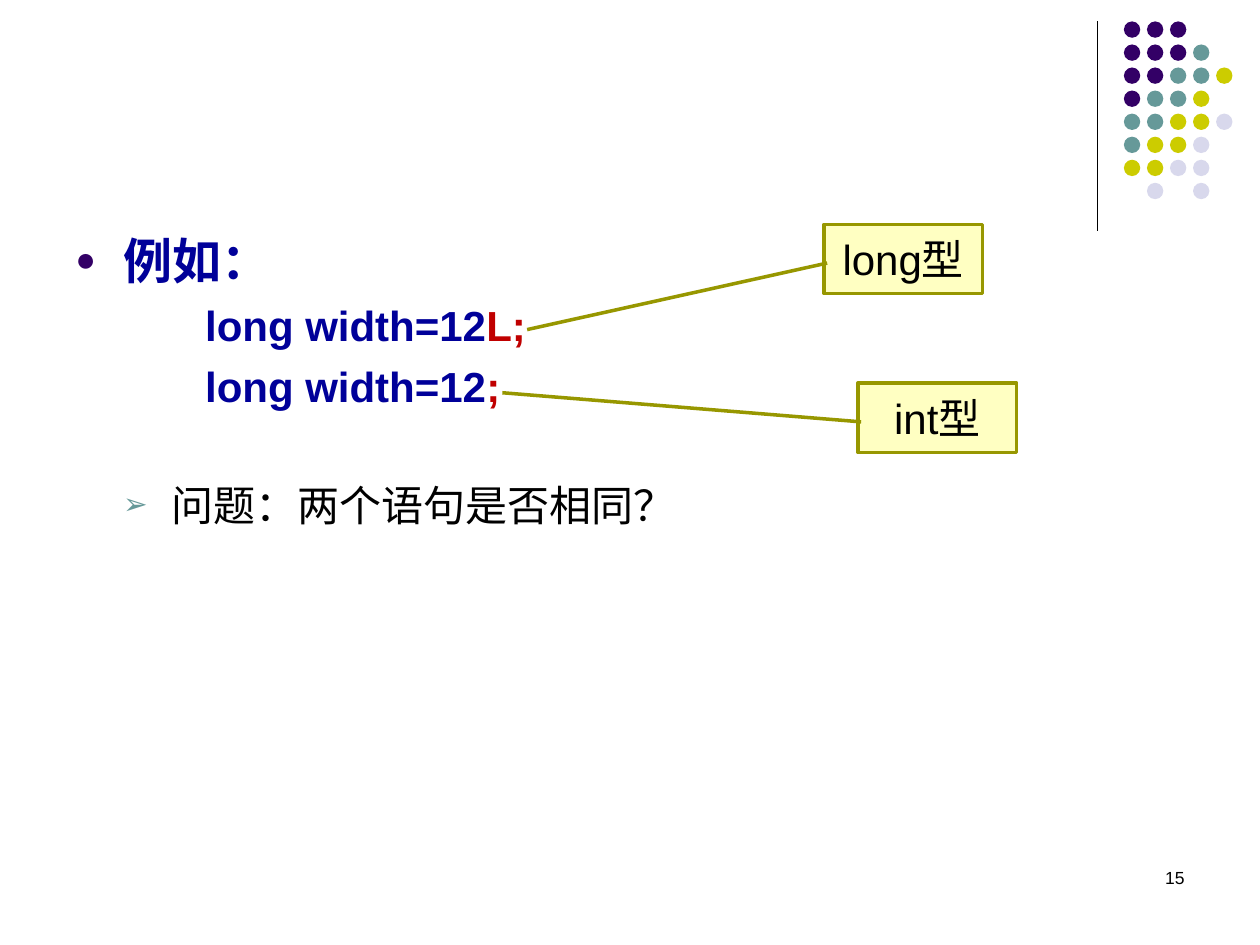
from lxml import etree
from pptx import Presentation, util as u
from pptx.dml.color import RGBColor
from pptx.enum import shapes, text
from pptx.oxml.ns import qn

BLACK = RGBColor(0x00, 0x00, 0x00)
PURPLE = RGBColor(0x33, 0x00, 0x66)
TEAL = RGBColor(0x66, 0x99, 0x99)
LIME = RGBColor(0xCC, 0xCC, 0x00)
LAVENDER = RGBColor(0xD8, 0xD8, 0xEC)
NAVY = RGBColor(0x00, 0x00, 0x99)
RED = RGBColor(0xC0, 0x00, 0x00)
CREAM = RGBColor(0xFF, 0xFF, 0xC2)
OLIVE = RGBColor(0x97, 0x97, 0x00)

DOT_COLORS = {"P": PURPLE, "T": TEAL, "Y": LIME, "L": LAVENDER}
DOT_ROWS = ["PPP", "PPPT", "PPTTY", "PTTY", "TTYYL", "TYYL", "YYLL", " L L"]
DOT_PITCH = 0.183


class SlideBuilder:
    font = "Arial"

    def __init__(self, slide):
        self.slide = slide

    def line(self, x1, y1, x2, y2, color, width):
        connector = self.slide.shapes.add_connector(
            shapes.MSO_CONNECTOR.STRAIGHT,
            u.Inches(x1), u.Inches(y1), u.Inches(x2), u.Inches(y2))
        connector.line.color.rgb = color
        connector.line.width = u.Pt(width)
        etree.SubElement(connector._element.spPr, qn("a:effectLst"))

    def shape(self, kind, left, top, width, height, fill):
        shape = self.slide.shapes.add_shape(
            kind, u.Inches(left), u.Inches(top), u.Inches(width), u.Inches(height))
        shape.shadow.inherit = False
        shape.fill.solid()
        shape.fill.fore_color.rgb = fill
        shape.line.fill.background()
        return shape

    def dot(self, left, top, color):
        self.shape(shapes.MSO_SHAPE.OVAL, left, top, 0.13, 0.13, color)

    def callout(self, left, top, label, adjustments):
        """Add a labelled box whose leader line points to the left."""
        shape = self.shape(shapes.MSO_SHAPE.LINE_CALLOUT_1, left, top, 1.26, 0.55, CREAM)
        shape.line.color.rgb = OLIVE
        shape.line.width = u.Pt(2)
        shape._element.spPr.xfrm.set("flipH", "1")
        for index, value in enumerate(adjustments):
            shape.adjustments[index] = value
        frame = shape.text_frame
        frame.word_wrap = False
        frame.vertical_anchor = text.MSO_ANCHOR.MIDDLE
        frame.text = label
        frame.paragraphs[0].alignment = text.PP_ALIGN.CENTER
        self.style(frame.paragraphs[0].runs[0], 24, BLACK)

    def text_box(self, left, top, width, height):
        frame = self.slide.shapes.add_textbox(
            u.Inches(left), u.Inches(top), u.Inches(width), u.Inches(height)).text_frame
        frame.word_wrap = True
        return frame

    def style(self, run, size, color, bold=False):
        run.font.name = self.font
        run.font.size = u.Pt(size)
        run.font.color.rgb = color
        run.font.bold = bold

    def paragraph(self, paragraph, runs, size, level=0, margin=0, hanging=0,
                  before=6, bold=False, bullet=None):
        """Fill a paragraph with (text, color) runs; bullet is (character, color)."""
        paragraph.level = level
        paragraph.space_before = u.Pt(before)
        for content, color in runs:
            run = paragraph.add_run()
            run.text = content
            self.style(run, size, color, bold)
        properties = paragraph._p.get_or_add_pPr()
        properties.set("marL", str(u.Inches(margin)))
        properties.set("indent", str(u.Inches(-hanging)))
        if bullet:
            character, color = bullet
            bullet_color = etree.SubElement(properties, qn("a:buClr"))
            etree.SubElement(bullet_color, qn("a:srgbClr"), val=str(color))
            etree.SubElement(properties, qn("a:buSzPct"), val="70000")
            etree.SubElement(properties, qn("a:buFont"), typeface=self.font)
            etree.SubElement(properties, qn("a:buChar"), char=character)


def main():
    presentation = Presentation()
    presentation.slide_width = u.Inches(10)
    presentation.slide_height = u.Inches(7.5)
    builder = SlideBuilder(presentation.slides.add_slide(presentation.slide_layouts[6]))

    builder.line(8.71, 0.17, 8.71, 1.83, BLACK, 0.75)
    for row, codes in enumerate(DOT_ROWS):
        for column, code in enumerate(codes):
            if code in DOT_COLORS:
                builder.dot(8.92 + column * DOT_PITCH, 0.17 + row * DOT_PITCH,
                            DOT_COLORS[code])

    body = builder.text_box(0.5, 1.78, 9, 4.92)
    builder.paragraph(body.paragraphs[0], [("例如：", NAVY)], 28, margin=0.38,
                      hanging=0.38, bold=True, bullet=("●", PURPLE))
    for ending in ("L;", ";"):
        builder.paragraph(body.add_paragraph(), [("long width=12", NAVY), (ending, RED)],
                          24, level=3, margin=1.03, bold=True)
    builder.paragraph(body.add_paragraph(), [("问题：两个语句是否相同？", BLACK)], 24,
                      level=1, margin=0.76, hanging=0.38, before=39,
                      bullet=("➢", TEAL))

    number = builder.text_box(7.17, 6.83, 2.33, 0.5)
    number.text = "15"
    number.paragraphs[0].alignment = text.PP_ALIGN.RIGHT
    builder.style(number.paragraphs[0].runs[0], 10, BLACK)

    builder.callout(6.81, 3.04, "int型", (0.56, 0.98, 0.14, 3.24))
    builder.callout(6.54, 1.78, "long型", (0.56, 0.98, 1.52, 2.87))

    presentation.save("out.pptx")


if __name__ == "__main__":
    main()
